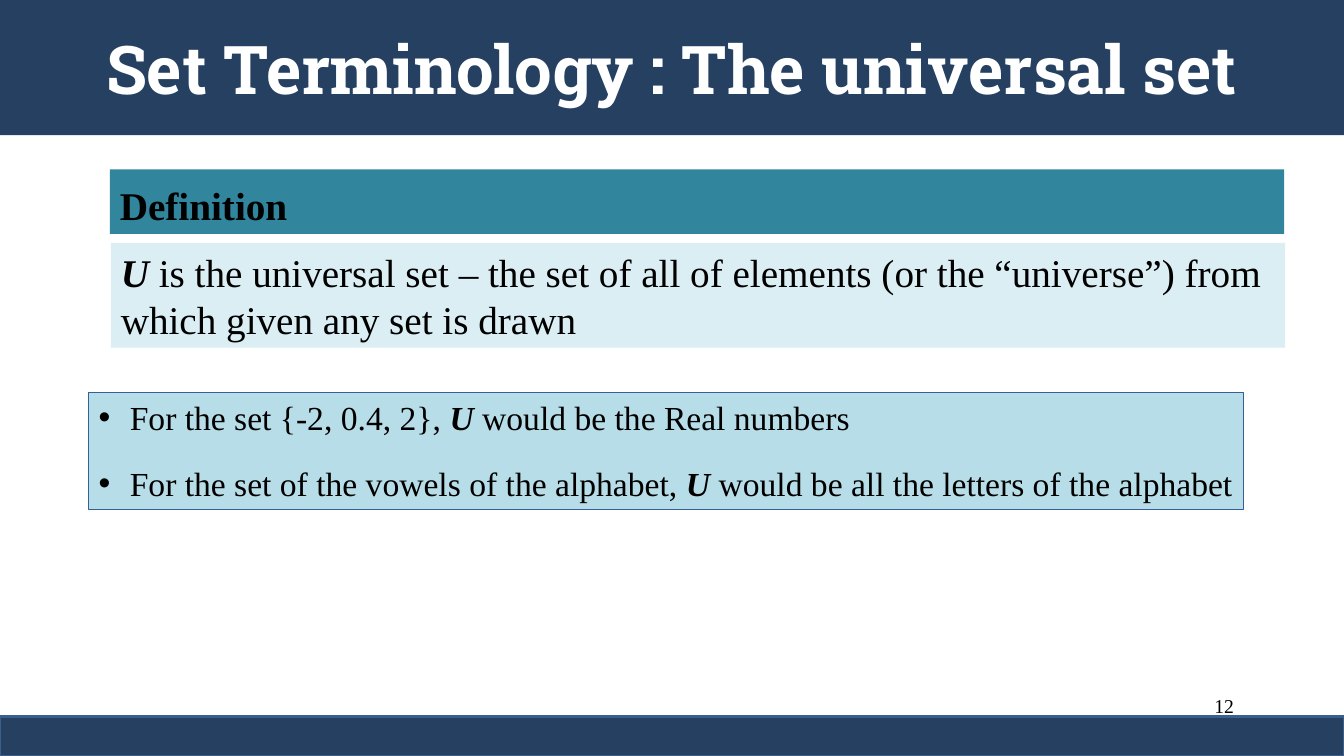
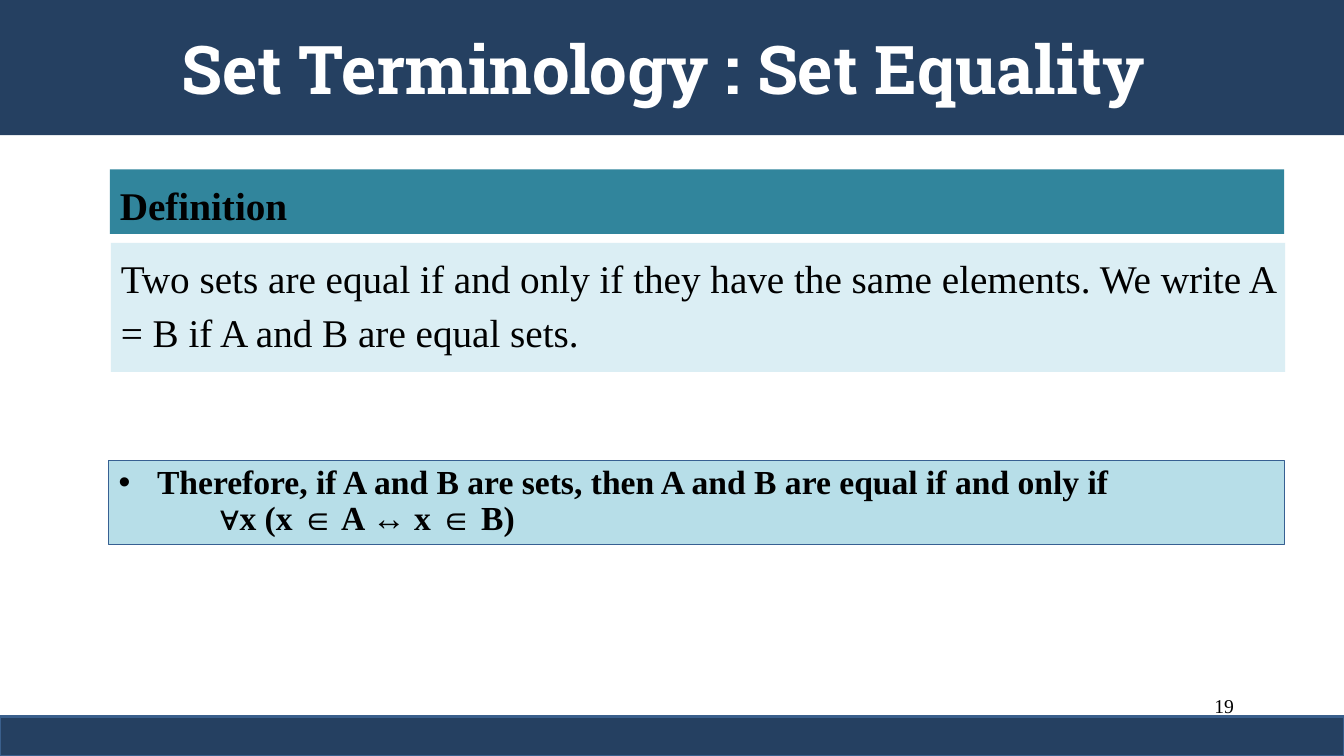
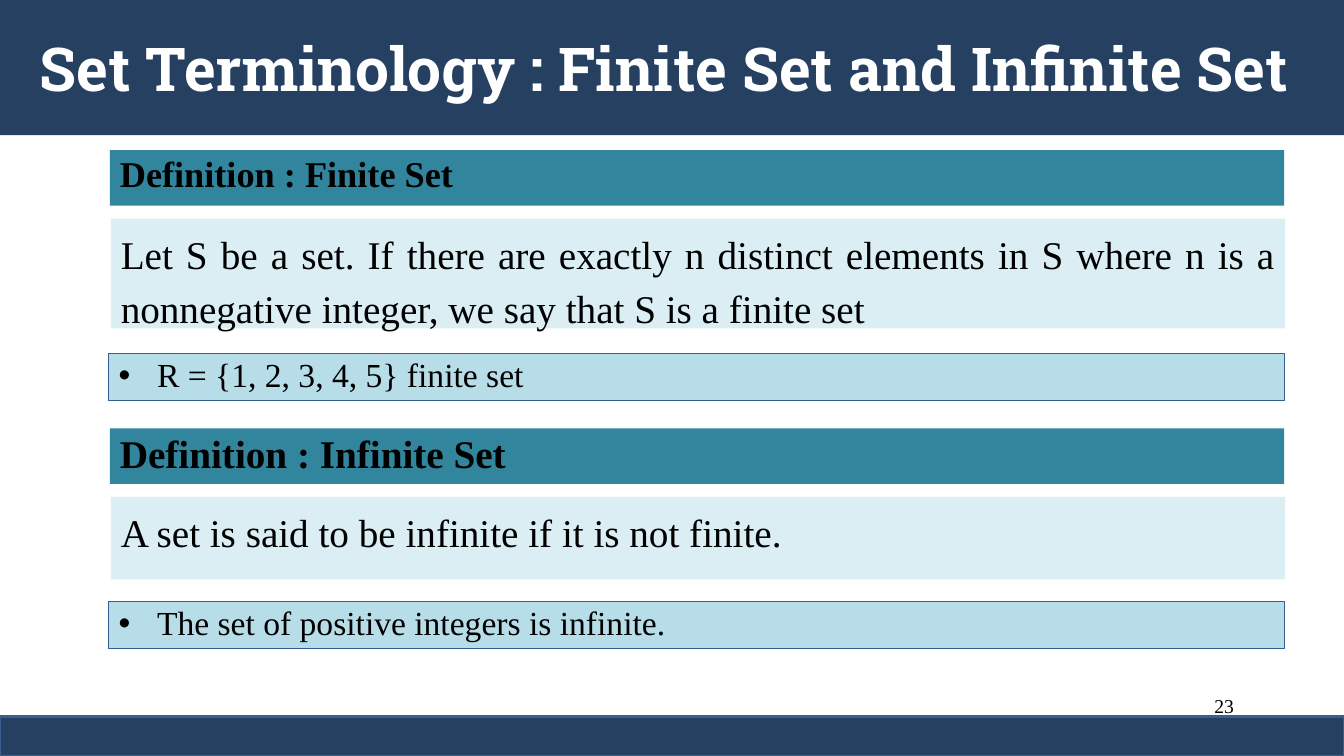
import pptx
import pptx.util
import pptx.dml.color
import pptx.enum.shapes
import pptx.enum.text
import pptx.oxml.ns
import lxml.etree

W, H = 13.333, 7.5  # slide size in inches
COLORS = {
    "navy": "254061", "navy_line": "3A5F8C", "teal": "31859C", "pale": "DBEEF4",
    "sky": "B7DEE8", "blue_line": "376092", "white": "FFFFFF", "black": "000000",
}
TITLE_FONT, BODY_FONT = "Roboto Slab", "Times New Roman"
ALIGN = pptx.enum.text.PP_ALIGN
ANCHOR = pptx.enum.text.MSO_ANCHOR

# Shared column, in percent of the slide's width
COL_LEFT, COL_WIDTH = 8.18, 87.38


def rgb(name):
    return pptx.dml.color.RGBColor.from_string(COLORS[name])


def place(left, top, width, height):
    """Turn percentages of the slide into lengths."""
    return [pptx.util.Inches(share * side / 100)
            for share, side in ((left, W), (top, H), (width, W), (height, H))]


def add_text(tf, text, size=28, font=BODY_FONT, color="black", bold=False,
             align=ALIGN.LEFT, line=1.0, before=0, after=0, indent=0, bullet=False):
    """Add a paragraph; parts between asterisks are bold italic."""
    p = tf.paragraphs[0]
    if p.runs:
        p = tf.add_paragraph()
        p.space_before = pptx.util.Pt(before)
    p.alignment = align
    p.line_spacing = line
    p.space_after = pptx.util.Pt(after)
    if indent:
        pPr = p._p.get_or_add_pPr()
        margin = pptx.util.Inches(indent)
        pPr.set("marL", str(margin))
        pPr.set("indent", str(-margin if bullet else 0))
        if bullet:
            tag = pptx.oxml.ns.qn
            lxml.etree.SubElement(pPr, tag("a:buFont"), typeface="Arial")
            lxml.etree.SubElement(pPr, tag("a:buChar"), char="•")
    for i, part in enumerate(text.split("*")):
        r = p.add_run()
        r.text = part
        r.font.name, r.font.size = font, pptx.util.Pt(size)
        r.font.color.rgb = rgb(color)
        r.font.bold = bold or i % 2 == 1
        r.font.italic = i % 2 == 1


def add_box(s, box, fill, line=None, line_width=0.75, anchor=ANCHOR.TOP):
    """Add a filled rectangle and return its text frame."""
    sp = s.shapes.add_shape(pptx.enum.shapes.MSO_SHAPE.RECTANGLE, *place(*box))
    sp.shadow.inherit = False
    sp.fill.solid()
    sp.fill.fore_color.rgb = rgb(fill)
    if line:
        sp.line.color.rgb = rgb(line)
        sp.line.width = pptx.util.Pt(line_width)
    else:
        sp.line.fill.background()
    tf = sp.text_frame
    tf.word_wrap = True
    tf.vertical_anchor = anchor
    return tf


def add_frame(prs, title, number, title_size=48):
    """Start a slide with its number, title band and footer band."""
    s = prs.slides.add_slide(prs.slide_layouts[6])
    tf = s.shapes.add_textbox(*place(71.7, 91.07, 20.85, 6.67)).text_frame
    tf.word_wrap = True
    add_text(tf, str(number), size=14, align=ALIGN.RIGHT)
    tf = add_box(s, (0, 0, 100, 17.87), "navy", anchor=ANCHOR.MIDDLE)
    add_text(tf, title, size=title_size, font=TITLE_FONT, color="white",
             bold=True, align=ALIGN.CENTER)
    add_box(s, (0, 94.8, 100, 5.2), "navy", "navy_line", 2)
    return s


def add_definition(s, top, head, text, body_height, head_height=8.53, gap=1.2,
                   head_size=28, head_line=1.14, **fmt):
    """Add a heading bar with the defining text below it."""
    tf = add_box(s, (COL_LEFT, top, COL_WIDTH, head_height), "teal")
    add_text(tf, head, size=head_size, bold=True, line=head_line)
    body_top = top + head_height + gap
    tf = add_box(s, (COL_LEFT + 0.07, body_top, COL_WIDTH, body_height), "pale")
    add_text(tf, text, **fmt)


def add_example(s, top, height, left=COL_LEFT - 0.08, width=COL_WIDTH + 0.07):
    """Add an outlined example box and return its text frame."""
    tf = add_box(s, (left, top, width, height), "sky", "blue_line")
    tf.margin_right = pptx.util.Inches(0.05)
    return tf


def main():
    prs = pptx.Presentation()
    prs.slide_width, prs.slide_height = pptx.util.Inches(W), pptx.util.Inches(H)
    justified = dict(align=ALIGN.JUSTIFY, line=1.14)
    item = dict(size=24, line=0.9, indent=0.38, bullet=True)

    # Universal set
    s = add_frame(prs, "Set Terminology : The universal set", 12)
    add_definition(s, 22.4, "Definition",
                   "*U* is the universal set – the set of all of elements "
                   "(or the “universe”) from which given any set is drawn",
                   13.87, after=6)
    tf = add_example(s, 51.87, 15.47, left=6.6, width=85.95)
    for text in ("For the set {-2, 0.4, 2}, *U* would be the Real numbers",
                 "For the set of the vowels of the alphabet, *U* would be "
                 "all the letters of the alphabet"):
        add_text(tf, text, size=24, before=12, after=6, indent=0.31, bullet=True)

    # Set equality
    s = add_frame(prs, "Set Terminology : Set Equality ", 19)
    add_definition(s, 22.4, "Definition",
                   "Two sets are equal if and only if they have the same elements. "
                   "We write A = B if A and B are equal sets.", 17.07, **justified)
    tf = add_example(s, 60.93, 11.07)
    add_text(tf, "Therefore, if A and B are sets, then A and B are equal if and only if",
             bold=True, **item)
    add_text(tf, "∀x (x ∈ A ↔ x ∈ B)", size=24, bold=True, line=0.9, indent=1)

    # Finite and infinite sets
    s = add_frame(prs, "Set Terminology : Finite Set and Infinite Set ", 23, 43.2)
    sections = (
        (19.87, "Definition : Finite Set", 25.9,
         "Let S be a set. If there are exactly n distinct elements in S where n is a "
         "nonnegative integer, we say that S is a finite set",
         14.53, 46.8, "R = {1, 2, 3, 4, 5} finite set"),
        (56.67, "Definition : Infinite Set", 28,
         "A set is said to be infinite if it is not finite.",
         10.93, 79.6, "The set of positive integers is infinite."),
    )
    for top, head, head_size, text, body_height, example_top, example in sections:
        add_definition(s, top, head, text, body_height, head_height=7.33, gap=1.73,
                       head_size=head_size, head_line=0.94, **justified)
        add_text(add_example(s, example_top, 6.13), example, **item)

    prs.save("out.pptx")


if __name__ == "__main__":
    main()
